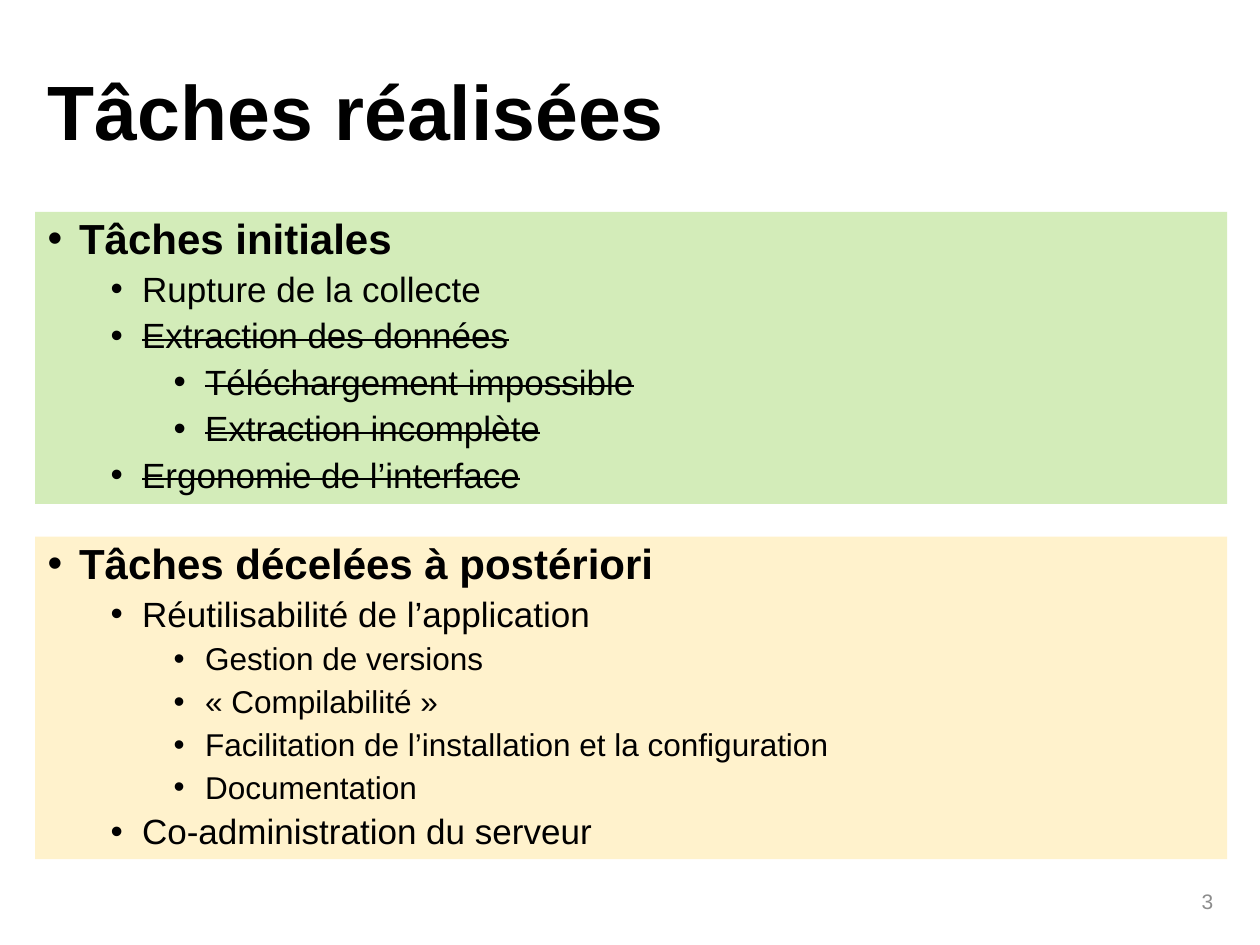
from dataclasses import dataclass

from lxml.etree import SubElement
from pptx import Presentation
from pptx.dml.color import RGBColor
from pptx.enum.text import MSO_ANCHOR, PP_ALIGN
from pptx.oxml.ns import qn
from pptx.util import Cm, Pt

FONT = "Arial"
COLORS = {
    "text": "000000",
    "number": "8C8C8C",
    "initial": "D3ECB9",
    "later": "FFF2CC",
}
LEFT, WIDTH = Cm(0.71), Cm(24.03)
INDENT_STEP, HANGING = Cm(1.27), Cm(0.635)


@dataclass
class Task:
    text: str
    level: int = 1
    size: int = 20
    struck: bool = False


@dataclass
class TaskPanel:
    heading: str
    top: Cm
    height: Cm
    color: str
    tasks: list[Task]


PANELS = [
    TaskPanel("Tâches initiales", Cm(4.27), Cm(5.89), "initial", [
        Task("Rupture de la collecte"),
        Task("Extraction des données", struck=True),
        Task("Téléchargement impossible", level=2, struck=True),
        Task("Extraction incomplète", level=2, struck=True),
        Task("Ergonomie de l’interface", struck=True),
    ]),
    TaskPanel("Tâches décelées à postériori", Cm(10.82), Cm(6.5), "later", [
        Task("Réutilisabilité de l’application"),
        Task("Gestion de versions", level=2, size=18),
        Task("« Compilabilité »", level=2, size=18),
        Task("Facilitation de l’installation et la configuration", level=2, size=18),
        Task("Documentation", level=2, size=18),
        Task("Co-administration du serveur"),
    ]),
]


def style(paragraph, size: int, color: str = "text", bold: bool = False) -> None:
    font = paragraph.font
    font.name, font.size, font.bold = FONT, Pt(size), bold
    font.color.rgb = RGBColor.from_string(COLORS[color])


def add_bullet(paragraph, level: int) -> None:
    properties = paragraph._p.get_or_add_pPr()
    properties.set("marL", str(HANGING + level * INDENT_STEP))
    properties.set("indent", str(-HANGING))
    SubElement(properties, qn("a:buFont")).set("typeface", FONT)
    SubElement(properties, qn("a:buChar")).set("char", "•")


def write_task(paragraph, task: Task) -> None:
    is_heading = task.level == 0
    paragraph.level = task.level
    paragraph.line_spacing = 0.9
    paragraph.space_before = Pt(10 if is_heading else 5)
    add_bullet(paragraph, task.level)
    style(paragraph, task.size, bold=is_heading)
    run = paragraph.add_run()
    run.text = task.text
    if task.struck:
        run._r.get_or_add_rPr().set("strike", "sngStrike")


def add_panel(slide, panel: TaskPanel) -> None:
    box = slide.shapes.add_textbox(LEFT, panel.top, WIDTH, panel.height)
    box.fill.solid()
    box.fill.fore_color.rgb = RGBColor.from_string(COLORS[panel.color])
    frame = box.text_frame
    frame.word_wrap = True
    for index, task in enumerate([Task(panel.heading, level=0, size=24), *panel.tasks]):
        write_task(frame.add_paragraph() if index else frame.paragraphs[0], task)


def main() -> None:
    prs = Presentation()
    prs.slide_width, prs.slide_height = Cm(25.4), Cm(19.05)
    slide = prs.slides.add_slide(prs.slide_layouts[5])

    # Title
    title = slide.shapes.title
    title.left, title.top, title.width, title.height = LEFT, Cm(1.02), WIDTH, Cm(2.62)
    title.text_frame.text = "Tâches réalisées"
    title.text_frame.vertical_anchor = MSO_ANCHOR.MIDDLE
    heading = title.text_frame.paragraphs[0]
    heading.alignment = PP_ALIGN.LEFT
    heading.line_spacing = 0.9
    style(heading, 44, bold=True)

    # Task panels
    for panel in PANELS:
        add_panel(slide, panel)

    # Slide number
    number = slide.shapes.add_textbox(Cm(17.93), Cm(17.65), Cm(6.78), Cm(1.02)).text_frame
    number.word_wrap = True
    number.vertical_anchor = MSO_ANCHOR.MIDDLE
    number.text = "3"
    number.paragraphs[0].alignment = PP_ALIGN.RIGHT
    style(number.paragraphs[0], 12, "number")

    prs.save("out.pptx")


if __name__ == "__main__":
    main()
